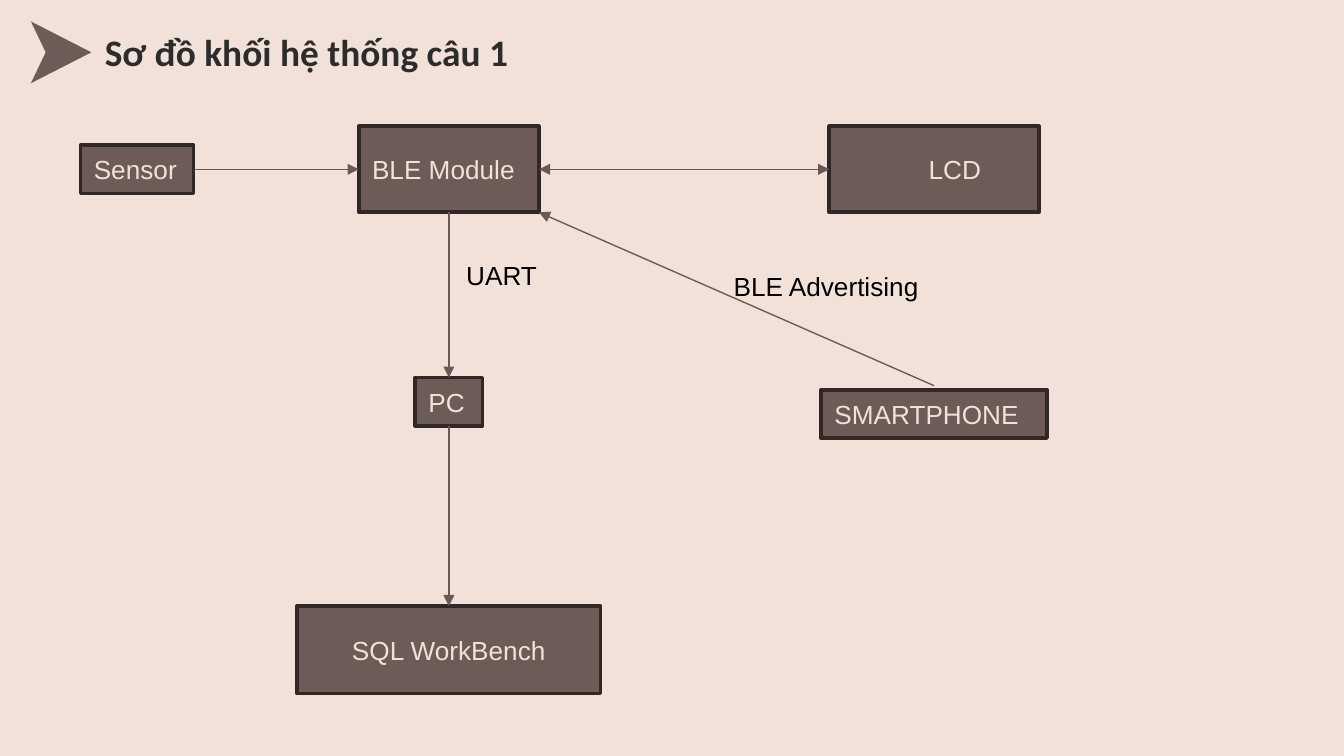
from lxml import etree
from pptx import Presentation
from pptx.dml.color import RGBColor
from pptx.enum.shapes import MSO_CONNECTOR, MSO_SHAPE
from pptx.enum.text import MSO_ANCHOR, PP_ALIGN
from pptx.oxml.ns import qn
from pptx.util import Inches, Pt

COLORS = {"bg": "F2E1D8", "box": "6D5B57", "border": "302826",
          "arrow": "6B5955", "title": "2C2C2C", "label": "000000"}

TITLE = "Sơ đồ khối hệ thống câu 1"
CHEVRON = [(0.23, 0.16), (0.34, 0.39), (0.23, 0.62), (0.68, 0.39)]

# name: (text, left, top, width, height, left inset, alignment)
BLOCKS = {
    "board": ("BLE Module", 2.67, 0.94, 1.34, 0.64, 0.1, PP_ALIGN.LEFT),
    "sensor": ("Sensor", 0.6, 1.08, 0.84, 0.36, 0.1, PP_ALIGN.LEFT),
    "lcd": ("LCD", 6.17, 0.94, 1.56, 0.64, 0.74, PP_ALIGN.LEFT),
    "pc": ("PC", 3.09, 2.81, 0.5, 0.36, 0.1, PP_ALIGN.LEFT),
    "phone": ("SMARTPHONE", 6.11, 2.9, 1.68, 0.36, 0.1, PP_ALIGN.LEFT),
    "database": ("SQL WorkBench", 2.21, 4.51, 2.26, 0.65, 0.1, PP_ALIGN.CENTER),
}
# text, left, top, width, height
LABELS = [("UART", 3.37, 1.88, 0.78, 0.34),
          ("BLE Advertising", 5.36, 1.96, 1.62, 0.34)]
# from block, to block, connection sites (0 top, 1 left, 2 bottom, 3 right), both ways
LINKS = [("sensor", "board", 3, 1, False),
         ("board", "pc", 2, 0, False),
         ("board", "lcd", 3, 1, True),
         ("pc", "database", 2, 0, False)]


def rgb(name):
    return RGBColor.from_string(COLORS[name])


def set_font(p, size, font, color, bold=False):
    p.font.size, p.font.name, p.font.bold = Pt(size), font, bold
    p.font.color.rgb = rgb(color)


def add_arrow(start, end, both=False):
    line = s.shapes.add_connector(MSO_CONNECTOR.STRAIGHT, *start, *end)
    line.line.color.rgb = rgb("arrow")
    line.line.width = Pt(0.75)
    ln = line.line._get_or_add_ln()
    for tag in ("a:headEnd", "a:tailEnd") if both else ("a:tailEnd",):
        etree.SubElement(ln, qn(tag), type="triangle")
    etree.SubElement(line._element.spPr, qn("a:effectLst"))
    return line


def site(sp, index):
    x, y = sp.left + sp.width // 2, sp.top + sp.height // 2
    return [(x, sp.top), (sp.left, y), (x, sp.top + sp.height),
            (sp.left + sp.width, y)][index]


# Slide in 16:9
prs = Presentation()
prs.slide_width = Inches(10)
prs.slide_height = Inches(10) * 9 // 16
s = prs.slides.add_slide(prs.slide_layouts[5])
s.background.fill.solid()
s.background.fill.fore_color.rgb = rgb("bg")

# Title with its chevron
builder = s.shapes.build_freeform(*map(Inches, CHEVRON[0]))
builder.add_line_segments([(Inches(x), Inches(y)) for x, y in CHEVRON[1:]])
chevron = builder.convert_to_shape()
chevron.fill.solid()
chevron.fill.fore_color.rgb = rgb("box")
chevron.line.fill.background()
chevron.shadow.inherit = False

title = s.shapes.title
title.left, title.top, title.width, title.height = map(Inches, (0.68, 0.07, 8.21, 0.65))
tf = title.text_frame
tf.text = TITLE
tf.vertical_anchor = MSO_ANCHOR.TOP
tf.margin_left = tf.margin_right = tf.margin_top = tf.margin_bottom = Inches(0.1)
p = tf.paragraphs[0]
p.alignment = PP_ALIGN.LEFT
p.line_spacing, p.space_before, p.space_after = 1.15, Pt(0), Pt(16)
set_font(p, 20, "Calibri", "title", bold=True)

# Blocks
shapes = {}
for name, (text, left, top, width, height, inset, align) in BLOCKS.items():
    sp = s.shapes.add_shape(MSO_SHAPE.RECTANGLE, *map(Inches, (left, top, width, height)))
    sp.fill.solid()
    sp.fill.fore_color.rgb = rgb("box")
    sp.line.color.rgb = rgb("border")
    sp.line.width = Pt(2)
    sp.shadow.inherit = False
    tf = sp.text_frame
    tf.text = text
    tf.word_wrap = True
    tf.vertical_anchor = MSO_ANCHOR.MIDDLE
    tf.margin_left = Inches(inset)
    p = tf.paragraphs[0]
    p.alignment = align
    set_font(p, 14, "Arial", "bg")
    shapes[name] = sp

# Arrows between blocks
for source, target, out, into, both in LINKS:
    a, b = shapes[source], shapes[target]
    line = add_arrow(site(a, out), site(b, into), both)
    line.begin_connect(a, out)
    line.end_connect(b, into)

# Smartphone arrow ends at the corner of the board
board = shapes["board"]
add_arrow((Inches(6.95), Inches(2.87)),
          (board.left + board.width, board.top + board.height))

# Arrow labels
for text, *box in LABELS:
    tf = s.shapes.add_textbox(*map(Inches, box)).text_frame
    tf.text = text
    tf.word_wrap = True
    set_font(tf.paragraphs[0], 14, "Arial", "label")

prs.save("out.pptx")
